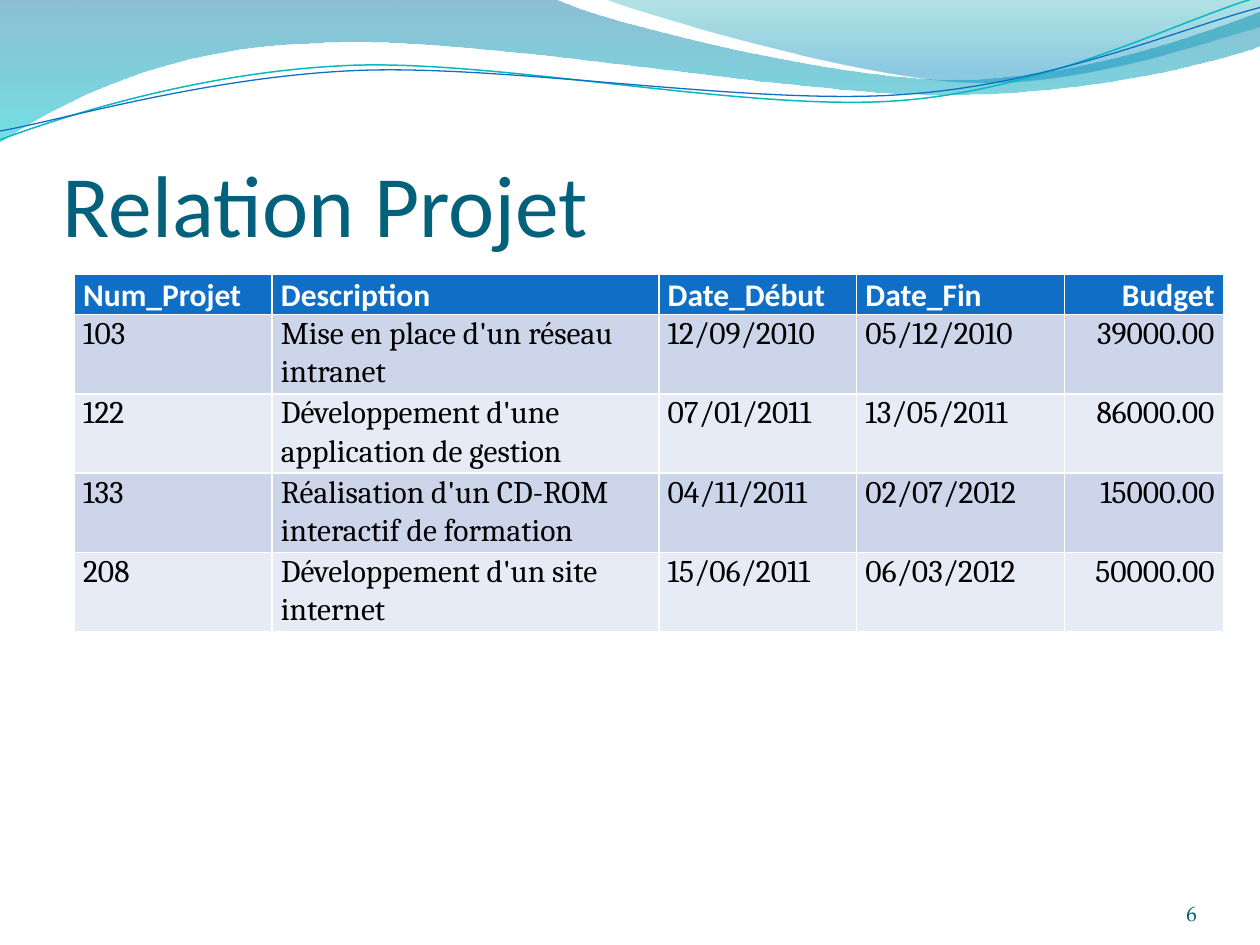
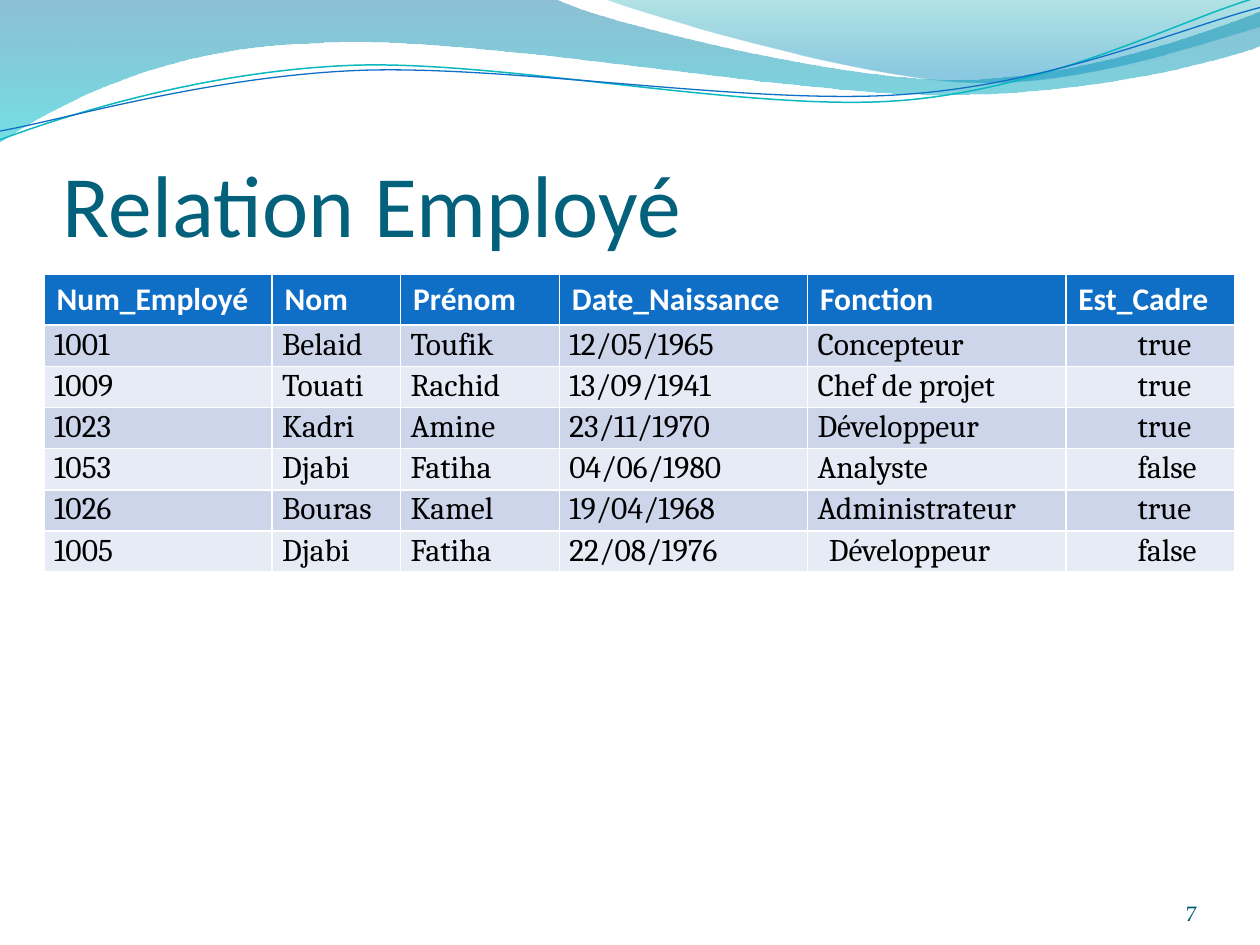
from lxml.etree import SubElement
from pptx import Presentation
from pptx.dml.color import RGBColor
from pptx.enum.text import MSO_ANCHOR as Anchor, PP_ALIGN as Align
from pptx.oxml.ns import qn
from pptx.util import Inches, Pt

COLORS = {
    "title": "04617B", "number": "045D75", "header": "0F6FC6",
    "odd_row": "CCD5EA", "even_row": "E7EBF5", "white": "FFFFFF", "black": "000000",
    "teal_line": "0AB8BF", "blue_line": "0F6FC6",
    "wave_top": "0074A1", "wave_bottom": "00C6CF",
    "crest_top": "00A1A9", "crest_bottom": "008BBF",
}
TITLE_FONT = {"name": "Calibri", "size": Pt(50)}
NUMBER_FONT = {"name": "TeX Gyre Pagella", "size": Pt(12)}
HEADER_FONT = {"name": "Calibri", "size": Pt(18), "bold": True}
BODY_FONT = {"name": "Cambria", "size": Pt(18), "bold": False}

TITLE_BOX = (0.5, 0.77, 9, 1.25)
NUMBER_BOX = (8.67, 6.95, 0.83, 0.4)
TIGHT = (0.07, 0, 0.07, 0)
ROOMY = (0.1, 0.05, 0.1, 0.05)

WAVE = [
    (0, 0), (4.4, -0.01),
    (4.76, 0.17, 6.64, 0.63, 7.58, 0.63), (8.53, 0.63, 9.58, 0.26, 10, 0.09),
    (10.01, 0.36),
    (9.83, 0.44, 8.7, 0.76, 7.46, 0.75), (6.22, 0.75, 3.82, 0.28, 2.57, 0.34),
    (1.29, 0.36, 0.46, 0.83, -0.01, 1.13), (0, 0),
]
CREST = [
    (4.79, -0.01),
    (5.09, 0.11, 6.82, 0.62, 7.69, 0.65), (8.56, 0.69, 9.61, 0.32, 10, 0.21),
    (10, 0), (4.79, -0.01),
]
TEAL_CURVE = [
    (0, 1.11),
    (0.48, 0.93, 1.58, 0.57, 2.77, 0.52), (3.95, 0.47, 5.93, 0.89, 7.13, 0.8),
    (8.33, 0.71, 9.38, 0.15, 9.98, -0.02),
]
BLUE_CURVE = [
    (0, 1.04),
    (0.47, 0.96, 1.64, 0.61, 2.83, 0.56), (4.03, 0.51, 5.97, 0.84, 7.17, 0.75),
    (8.36, 0.67, 9.41, 0.21, 10, 0.06),
]

PROJECTS = {
    "title": "Relation Projet",
    "number": "6",
    "box": (0.59, 2.18, 9.13, 2.83),
    "widths": [1.57, 3.07, 1.57, 1.65, 1.26],
    "heights": [0.3] + [0.6] * 4,
    "header_margins": TIGHT,
    "header_spacing": 1.05,
    "right_column": 4,
    "rows": [
        ["Num_Projet", "Description", "Date_Début", "Date_Fin", "Budget"],
        ["103", "Mise en place d'un réseau intranet", "12/09/2010", "05/12/2010", "39000.00"],
        ["122", "Développement d'une application de gestion", "07/01/2011", "13/05/2011", "86000.00"],
        ["133", "Réalisation d'un CD-ROM interactif de formation", "04/11/2011", "02/07/2012", "15000.00"],
        ["208", "Développement d'un site internet", "15/06/2011", "06/03/2012", "50000.00"],
    ],
}
EMPLOYEES = {
    "title": "Relation Employé",
    "number": "7",
    "box": (0.35, 2.18, 9.45, 2.36),
    "widths": [1.81, 1.02, 1.26, 1.97, 2.05, 1.34],
    "heights": [2.29 / 7] * 7,
    "header_margins": ROOMY,
    "header_spacing": None,
    "indent": 0.01,
    "column_indents": {5: 0.5},
    "cell_indents": {(6, 4): 0.1},
    "rows": [
        ["Num_Employé", "Nom", "Prénom", "Date_Naissance", "Fonction", "Est_Cadre"],
        ["1001", "Belaid", "Toufik", "12/05/1965", "Concepteur", "true"],
        ["1009", "Touati", "Rachid", "13/09/1941", "Chef de projet", "true"],
        ["1023", "Kadri", "Amine", "23/11/1970", "Développeur", "true"],
        ["1053", "Djabi", "Fatiha", "04/06/1980", "Analyste", "false"],
        ["1026", "Bouras", "Kamel", "19/04/1968", "Administrateur", "true"],
        ["1005", "Djabi", "Fatiha", "22/08/1976", "Développeur", "false"],
    ],
}


def rgb(name):
    return RGBColor.from_string(COLORS[name])


def set_all(target, values):
    for name, value in values.items():
        setattr(target, name, value)


def set_margins(target, margins):
    sides = ("margin_left", "margin_top", "margin_right", "margin_bottom")
    set_all(target, dict(zip(sides, map(Inches, margins))))


def write(para, text, font, color):
    span = para.add_run()
    span.text = text
    set_all(span.font, font)
    span.font.color.rgb = rgb(color)


def add_text(page, box, text, font, color, align, margins):
    frame = page.shapes.add_textbox(*map(Inches, box)).text_frame
    set_all(frame, {"word_wrap": True, "vertical_anchor": Anchor.BOTTOM})
    set_margins(frame, margins)
    frame.paragraphs[0].alignment = align
    write(frame.paragraphs[0], text, font, color)


def bend(shape, segments):
    steps = iter(list(shape._element.spPr.iter(qn("a:lnTo"))))
    for segment in segments:
        corner = next(steps)
        if len(segment) == 6:
            corner.tag = qn("a:cubicBezTo")
            for _ in range(2):
                control = next(steps)
                control.getparent().remove(control)
                corner.append(control[0])


def add_outline(page, outline, close):
    points = [
        (Inches(segment[at]), Inches(segment[at + 1]))
        for segment in outline for at in range(0, len(segment), 2)
    ]
    builder = page.shapes.build_freeform(*points[0])
    builder.add_line_segments(points[1:], close=close)
    shape = builder.convert_to_shape()
    bend(shape, outline[1:])
    shape.shadow.inherit = False
    return shape


def add_wave(page, outline, stops):
    shape = add_outline(page, outline, True)
    shape.line.fill.background()
    shape.fill.gradient()
    shape.fill.gradient_angle = 270
    for stop, (position, color, opacity) in zip(shape.fill.gradient_stops, stops):
        stop.position = position
        stop.color.rgb = rgb(color)
    for node, (_, _, opacity) in zip(shape._element.spPr.iter(qn("a:srgbClr")), stops):
        SubElement(node, qn("a:alpha")).set("val", str(opacity * 1000))


def add_curve(page, outline, color, width):
    shape = add_outline(page, outline, False)
    shape.fill.background()
    shape.line.color.rgb = rgb(color)
    shape.line.width = Pt(width)


def add_band(page):
    add_wave(page, WAVE, [(0, "wave_top", 45), (1, "wave_bottom", 55)])
    add_wave(page, CREST, [(0, "crest_top", 30), (0.8, "crest_bottom", 45)])
    add_curve(page, TEAL_CURVE, "teal_line", 0.85)
    add_curve(page, BLUE_CURVE, "blue_line", 0.75)


def fill_cell(cell, text, row, column, data):
    is_header = row == 0
    color = "header" if is_header else "odd_row" if row % 2 else "even_row"
    cell.fill.solid()
    cell.fill.fore_color.rgb = rgb(color)
    set_margins(cell, data["header_margins"] if is_header else TIGHT)
    para = cell.text_frame.paragraphs[0]
    para.line_spacing = data["header_spacing"] if is_header else 1.05
    if column == data.get("right_column"):
        para.alignment = Align.RIGHT
    if not is_header and "indent" in data:
        indent = data["column_indents"].get(column, data["indent"])
        indent = data["cell_indents"].get((row, column), indent)
        para._p.get_or_add_pPr().set("marL", str(Inches(indent)))
    font, ink = (HEADER_FONT, "white") if is_header else (BODY_FONT, "black")
    write(para, text, font, ink)


def add_relation(page, data):
    rows, box = data["rows"], data["box"]
    holder = page.shapes.add_table(len(rows), len(rows[0]), *map(Inches, box))
    table = holder.table
    for column, width in zip(table.columns, data["widths"]):
        column.width = Inches(width)
    for line, height in zip(table.rows, data["heights"]):
        line.height = Inches(height)
    set_all(holder, {"width": Inches(box[2]), "height": Inches(box[3])})
    for row, texts in enumerate(rows):
        for column, text in enumerate(texts):
            fill_cell(table.cell(row, column), text, row, column, data)


def add_relation_page(deck, data):
    page = deck.slides.add_slide(deck.slide_layouts[6])
    add_band(page)
    add_text(page, TITLE_BOX, data["title"], TITLE_FONT, "title", Align.LEFT, (0, 0.05, 0, 0))
    add_relation(page, data)
    add_text(page, NUMBER_BOX, data["number"], NUMBER_FONT, "number", Align.RIGHT, (0, 0, 0, 0))


def main():
    deck = Presentation()
    set_all(deck, {"slide_width": Inches(10), "slide_height": Inches(7.5)})
    for data in (PROJECTS, EMPLOYEES):
        add_relation_page(deck, data)
    deck.save("out.pptx")


if __name__ == "__main__":
    main()
